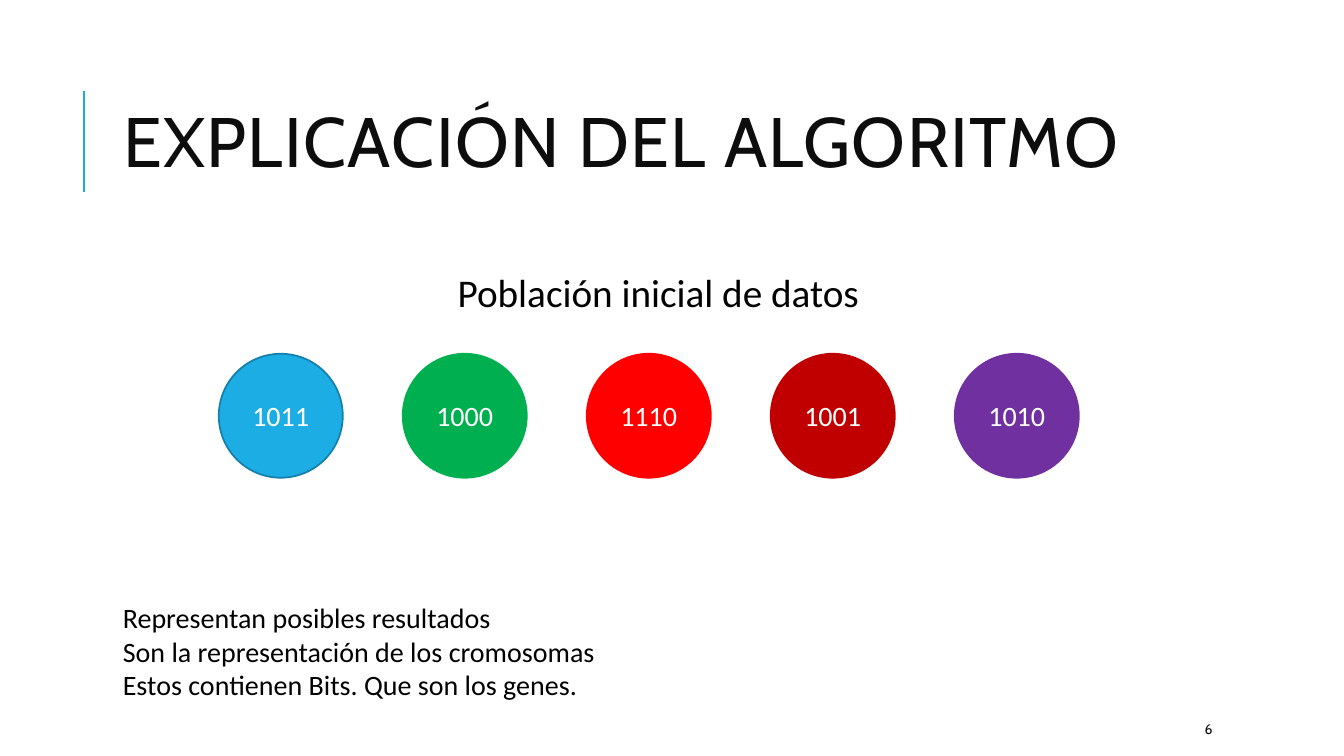
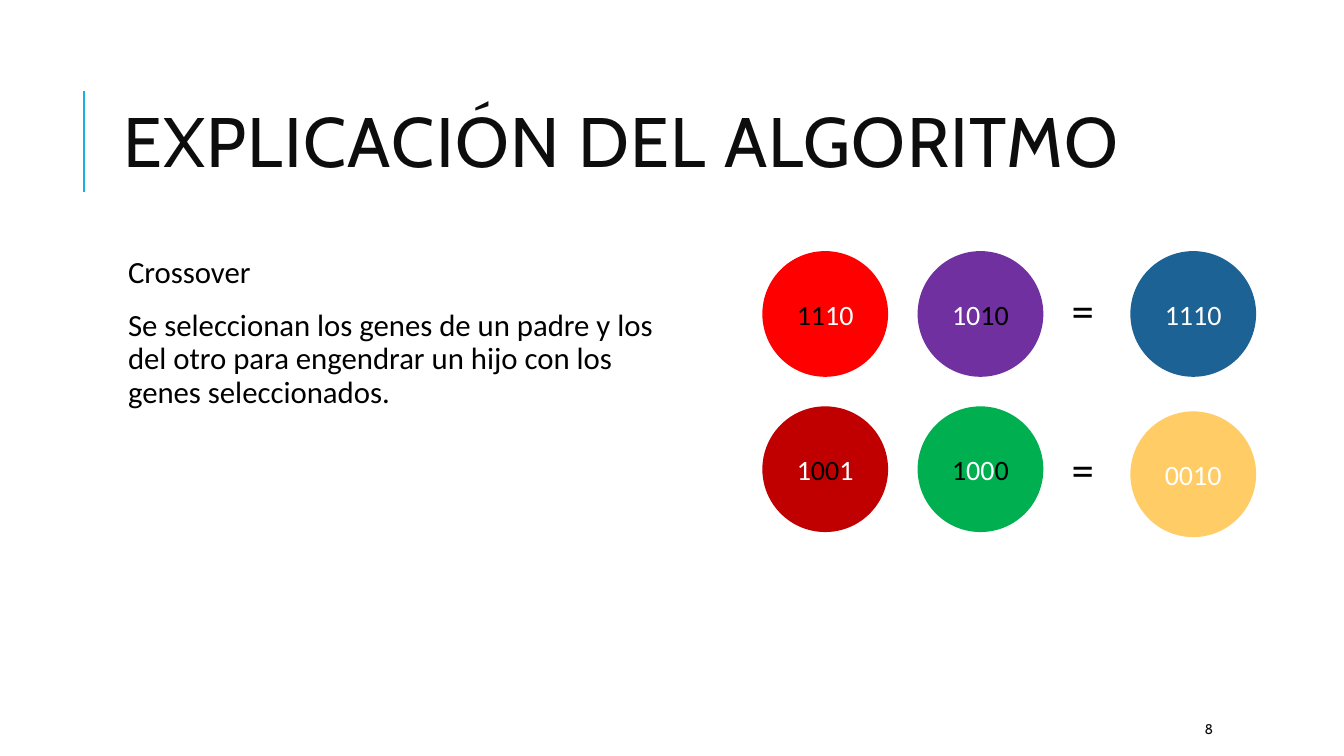
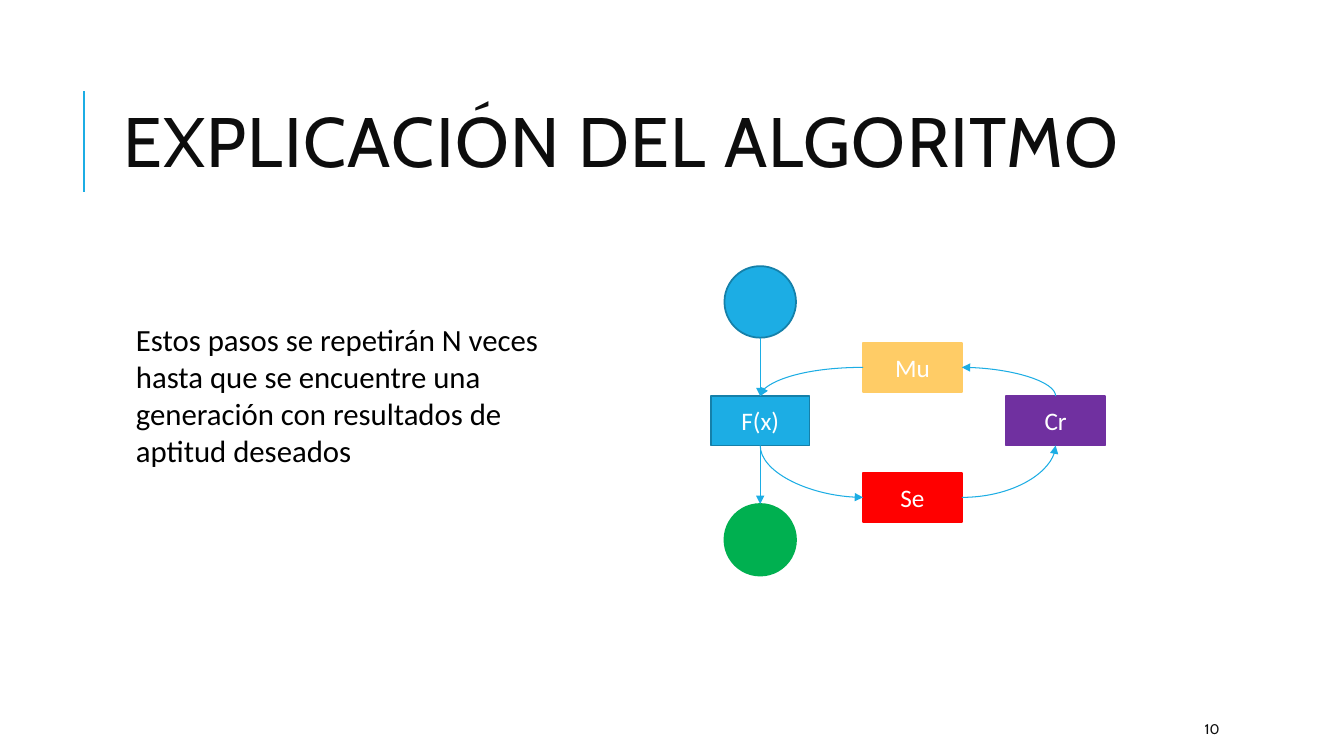
from pptx import Presentation
from pptx import util as u
from pptx.dml.color import RGBColor
from pptx.enum import shapes, text
from pptx.oxml import ns, xmlchemy

BLUE, EDGE, GREEN = "1CADE4", "1580A9", "00B050"
RED, WINE, PURPLE = "FF0000", "C00000", "7030A0"
NAVY, GOLD = "1D6294", "FFCC66"
BLACK, WHITE, INK = "000000", "FFFFFF", "0D0D0D"
HEAD, BODY = "Cabin", "Calibri"
TITLE = "EXPLICACIÓN DEL ALGORITMO"
DISC, DOT = 1.23, 0.71      # circle diameters
BOX_W, BOX_H = 0.98, 0.49   # step boxes
TOP, LEFT, BOTTOM, RIGHT = range(4)


def rgb(code):
    return RGBColor.from_string(code)


def style(par, size, color, face=BODY):
    par.font.name, par.font.size = face, u.Pt(size)
    par.font.color.rgb = rgb(color)


def child(parent, tag, **attrs):
    node = xmlchemy.OxmlElement(tag)
    for key, val in attrs.items():
        node.set(key, val)
    parent.append(node)
    return node


def place(shape, *area):
    shape.left, shape.top, shape.width, shape.height = map(u.Inches, area)


def label(slide, area, lines, size, color=BLACK, face=BODY, wrap=True):
    box = slide.shapes.add_textbox(*map(u.Inches, area))
    frame = box.text_frame
    frame.word_wrap = wrap
    frame.text = "\n".join(lines)
    for par in frame.paragraphs:
        style(par, size, color, face)
    return frame


def node(slide, kind, area, fill, parts=(), size=20):
    """Filled shape; parts are (text, colour) runs of one centred line."""
    shape = slide.shapes.add_shape(kind, *map(u.Inches, area))
    shape.shadow.inherit = False
    shape.fill.solid()
    shape.fill.fore_color.rgb = rgb(fill)
    shape.line.color.rgb = rgb(EDGE if fill == BLUE else fill)
    shape.line.width = u.Pt(1.25)
    if parts:
        shape.text_frame.vertical_anchor = text.MSO_ANCHOR.MIDDLE
        par = shape.text_frame.paragraphs[0]
        par.alignment = text.PP_ALIGN.CENTER
        style(par, size, WHITE)
        for word, color in parts:
            run = par.add_run()
            run.text = word
            run.font.color.rgb = rgb(color)
    return shape


def disc(slide, x, y, fill, *parts, size=DISC):
    kind = shapes.MSO_SHAPE.FLOWCHART_CONNECTOR
    return node(slide, kind, (x, y, size, size), fill, parts)


def step(slide, x, y, fill, word):
    kind = shapes.MSO_SHAPE.RECTANGLE
    return node(slide, kind, (x, y, BOX_W, BOX_H), fill, [(word, WHITE)], 18)


def link(slide, ends=(0, 0, 0, 0), width=0.75, curve=False, tip=None):
    kind = shapes.MSO_CONNECTOR.CURVE if curve else shapes.MSO_CONNECTOR.STRAIGHT
    line = slide.shapes.add_connector(kind, *map(u.Inches, ends))
    line.line.color.rgb = rgb(BLUE)
    line.line.width = u.Pt(width)
    props = line.element.spPr
    if curve:
        props.find(ns.qn("a:prstGeom")).set("prst", "curvedConnector2")
    if tip:
        child(props.find(ns.qn("a:ln")), tip, type="triangle")
    child(props, "a:effectLst")
    return line


def page(prs, number, layout=5):
    """New slide with the shared title and page number."""
    slide = prs.slides.add_slide(prs.slide_layouts[layout])
    title = slide.shapes.title
    place(title, 1.12, 0.64, 10.63, 1.64)
    frame = title.text_frame
    frame.text = TITLE
    frame.word_wrap = True
    frame.auto_size = text.MSO_AUTO_SIZE.NONE
    frame.vertical_anchor = text.MSO_ANCHOR.MIDDLE
    par = frame.paragraphs[0]
    par.alignment = text.PP_ALIGN.LEFT
    par.line_spacing = 0.8
    style(par, 50, INK, HEAD)
    for font in title.element.iter(ns.qn("a:defRPr")):
        font.set("spc", "100")
    foot = label(slide, (11.85, 7.08, 1.06, 0.3), [number], 10, INK, HEAD)
    foot.vertical_anchor = text.MSO_ANCHOR.MIDDLE
    return slide


def bullets(slide, area, lines):
    body = slide.placeholders[1]
    place(body, *area)
    frame = body.text_frame
    frame.text = "\n".join(lines)
    frame.auto_size = text.MSO_AUTO_SIZE.NONE
    frame.margin_left = frame.margin_right = u.Inches(0.05)
    frame.margin_top = frame.margin_bottom = u.Inches(0.05)
    pad = u.Inches(0.1)
    for par in frame.paragraphs:
        props = par._p.get_or_add_pPr()
        props.set("marL", str(pad))
        props.set("indent", str(-pad))
        child(child(props, "a:buClr"), "a:srgbClr", val=BLUE)
        child(props, "a:buChar", char=" ")
        par.line_spacing = 0.9
        par.space_before, par.space_after = u.Pt(12), u.Pt(2)
        style(par, 22, BLACK)


def initial(prs):
    slide = page(prs, "6")
    # Row of five chromosomes
    genes = [("1011", BLUE), ("1000", GREEN), ("1110", RED),
             ("1001", WINE), ("1010", PURPLE)]
    first, last = 2.17, 9.47
    gap = (last - first) / (len(genes) - 1)
    for col, (bits, fill) in enumerate(genes):
        disc(slide, first + col * gap, 3.51, fill, (bits, WHITE))
    label(slide, (4.44, 2.61, 4.19, 0.57), ["Población inicial de datos"], 28,
          wrap=False)
    label(slide, (1.12, 5.91, 10.06, 1.11),
          ["Representan posibles resultados",
           "Son la representación de los cromosomas",
           "Estos contienen Bits. Que son los genes."], 20)
    return slide


def cross(prs):
    slide = page(prs, "8", layout=1)
    bullets(slide, (1.12, 2.5, 5.69, 4.4),
            ["Crossover",
             "Se seleccionan los genes de un padre y los del otro para "
             "engendrar un hijo con los genes seleccionados."])
    # Each row: parent, parent, equals sign, child
    cols = 7.57, 9.11, 11.22
    rows = [
        (2.5, 2.76, 2.5,
         (RED, ("11", BLACK), ("10", WHITE)),
         (PURPLE, ("10", WHITE), ("10", BLACK)),
         (NAVY, ("1110", WHITE))),
        (4.04, 4.33, 4.09,
         (WINE, ("1", WHITE), ("00", BLACK), ("1", WHITE)),
         (GREEN, ("1", BLACK), ("00", WHITE), ("0", BLACK)),
         (GOLD, ("0010", WHITE))),
    ]
    for top, sign, low, *discs in rows:
        for x, y, spot in zip(cols, (top, top, low), discs):
            disc(slide, x, y, *spot)
        label(slide, (10.53, sign, 0.5, 0.64), ["="], 32, wrap=False)


def cycle(prs):
    slide = page(prs, "10")
    # Steps and end points
    mid = 7.05 + BOX_W / 2
    disc(slide, mid - DOT / 2, 2.64, BLUE, size=DOT)
    goal = disc(slide, mid - DOT / 2, 5, GREEN, size=DOT)
    fit = step(slide, 7.05, 3.93, BLUE, "F(x)")
    pick = step(slide, 8.56, 4.69, RED, "Se")
    mix = step(slide, 9.98, 3.93, PURPLE, "Cr")
    turn = step(slide, 8.56, 3.4, GOLD, "Mu")
    # Straight arrows
    enter = link(slide, (mid, 2.64 + DOT, mid, 3.93), tip="a:tailEnd")
    enter.end_connect(fit, TOP)
    leave = link(slide, tip="a:tailEnd")
    leave.begin_connect(fit, BOTTOM)
    leave.end_connect(goal, TOP)
    # Arcs leave a middle box sideways and meet an outer box upright
    arcs = [(turn, LEFT, fit, TOP, "a:tailEnd"),
            (pick, LEFT, fit, BOTTOM, "a:headEnd"),
            (pick, RIGHT, mix, BOTTOM, "a:tailEnd"),
            (turn, RIGHT, mix, TOP, "a:headEnd")]
    for inner, side, outer, edge, tip in arcs:
        arc = link(slide, curve=True, tip=tip)
        arc.begin_connect(inner, side)
        arc.end_connect(outer, edge)
    label(slide, (1.25, 3.13, 4.54, 1.58),
          ["Estos pasos se repetirán N veces hasta que se encuentre una "
           "generación con resultados de aptitud deseados"], 22)


def main():
    prs = Presentation()
    prs.slide_width, prs.slide_height = u.Inches(13.33), u.Inches(7.5)
    slide = initial(prs)
    # The title rule belongs to the master
    rule = link(slide, (0.83, 1.9, 0.83, 0.9), 1.5)
    prs.slide_master.shapes.element.append(rule.element)
    cross(prs)
    cycle(prs)
    prs.save("out.pptx")


if __name__ == "__main__":
    main()
